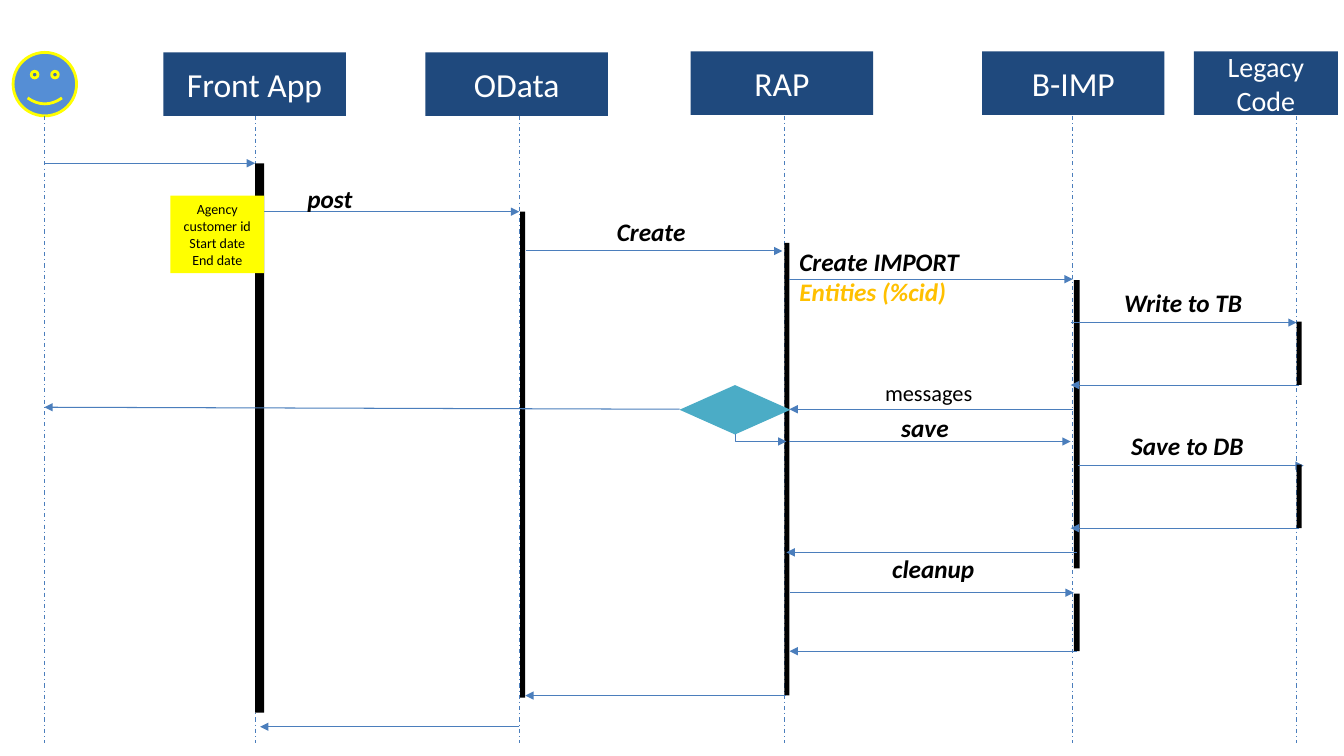
from lxml import etree
from pptx import Presentation
from pptx.dml.color import RGBColor
from pptx.enum.dml import MSO_LINE
from pptx.enum.shapes import MSO_CONNECTOR, MSO_SHAPE
from pptx.enum.text import MSO_ANCHOR, PP_ALIGN
from pptx.oxml.ns import qn
from pptx.util import Inches, Pt

RECT, SMILEY, DECISION = MSO_SHAPE.RECTANGLE, MSO_SHAPE.SMILEY_FACE, MSO_SHAPE.FLOWCHART_DECISION
STRAIGHT, ELBOW = MSO_CONNECTOR.STRAIGHT, MSO_CONNECTOR.ELBOW
CENTER, LEFT, MIDDLE, TOP = PP_ALIGN.CENTER, PP_ALIGN.LEFT, MSO_ANCHOR.MIDDLE, MSO_ANCHOR.TOP


class Theme:
    font = "Calibri"
    navy, blue, teal, face = "1F497D", "4B7EBC", "4BACC6", "558ED5"
    yellow, amber, black, white = "FFFF00", "FFC000", "000000", "FFFFFF"
    head, head_small, label, plain, note = 24, 20, 18, 16, 10
    line, outline = 0.75, 2


# Content: lifelines by x, in inches
LANES = {"user": 0.44, "app": 2.53, "odata": 5.15, "rap": 7.78, "bimp": 10.64, "legacy": 12.86}
LIFE_TOP, LIFE_BOTTOM = 1.15, 7.37
HEAD_H = 0.63

# Participants: text, left, top, width, size
HEADS = [
    ("Front App", 1.62, 0.52, 1.81, Theme.head),
    ("OData", 4.22, 0.52, 1.81, Theme.head),
    ("RAP", 6.85, 0.51, 1.81, Theme.head),
    ("B-IMP", 9.74, 0.51, 1.81, Theme.head),
    ("Legacy Code", 11.84, 0.51, 1.43, Theme.head_small),
]

# Steps from back to front.
# bar: lane, nudge, top, height, width; msg: from lane, nudge, to lane, nudge, y
STEPS = [
    ("msg", "user", 0, "app", 0, 1.62),
    ("bar", "app", 0, 1.62, 5.45, 0.09),
    ("msg", "app", 0.05, "odata", 0, 2.1),
    ("bar", "odata", 0.01, 2.1, 4.82, 0.05),
    ("bar", "rap", 0, 2.41, 4.49, 0.05),
    ("msg", "odata", 0.07, "rap", -0.02, 2.49),
    ("msg", "rap", 0.05, "bimp", 0, 2.77),
    ("bar", "bimp", 0.01, 2.78, 2.86, 0.06),
    ("msg", "bimp", -0.02, "legacy", 0, 3.2),
    ("bar", "legacy", 0, 3.19, 0.63, 0.05),
    ("msg", "legacy", 0.02, "bimp", -0.02, 3.82),
    ("msg", "bimp", 0, "rap", 0.05, 4.06),
    ("msg", "rap", 0.05, "bimp", -0.02, 4.38),
    ("msg", "bimp", 0.05, "legacy", 0.07, 4.62),
    ("bar", "legacy", 0, 4.61, 0.63, 0.05),
    ("msg", "legacy", 0.02, "bimp", -0.02, 5.24),
    ("msg", "bimp", 0.04, "rap", 0.02, 5.48),
    ("msg", "rap", 0.06, "bimp", 0.01, 5.88),
    ("bar", "bimp", 0.01, 5.89, 0.57, 0.06),
    ("msg", "bimp", 0.04, "rap", 0.05, 6.46),
    ("msg", "rap", 0.02, "odata", 0.06, 6.9),
    ("msg", "odata", 0, "app", 0.05, 7.21),
]

# Message labels: lines, left, top, width, height
LABELS = [
    (["post"], 2.95, 1.77, 1.51, 0.4),
    (["Create"], 6.02, 2.1, 1.51, 0.4),
    (["Create IMPORT", "Entities (%cid)"], 7.83, 2.39, 3.29, 0.71),
    (["Write to TB"], 11.05, 2.8, 1.51, 0.4),
    (["Save to DB"], 11.12, 4.22, 1.51, 0.4),
    (["save"], 8.84, 4.04, 1.51, 0.4),
    (["cleanup"], 8.75, 5.44, 1.51, 0.4),
]
MESSAGES = (["messages"], 8.68, 3.71, 1.39, 0.37)
NOTE = ["Agency customer id", "Start date", "End date"]
CHECK = (6.74, 3.82, 1.1, 0.49)

prs = Presentation()
prs.slide_width, prs.slide_height = Inches(13.33), Inches(7.5)
s = prs.slides.add_slide(prs.slide_layouts[6])


def write(shape, lines, size, color, align=LEFT, anchor=TOP, strong=False):
    tf = shape.text_frame
    tf.text = "\n".join(lines)
    tf.word_wrap, tf.vertical_anchor = True, anchor
    for p in tf.paragraphs:
        p.alignment = align
        for r in p.runs:
            r.font.name, r.font.size = Theme.font, Pt(size)
            r.font.bold = r.font.italic = strong
            r.font.color.rgb = RGBColor.from_string(color)
    return tf


def block(kind, x, y, w, h, fill):
    sp = s.shapes.add_shape(kind, Inches(x), Inches(y), Inches(w), Inches(h))
    sp.shadow.inherit = False
    sp.fill.solid()
    sp.fill.fore_color.rgb = RGBColor.from_string(fill)
    sp.line.fill.background()
    return sp


def label(lines, x, y, w, h, size=Theme.label, strong=True):
    tb = s.shapes.add_textbox(Inches(x), Inches(y), Inches(w), Inches(h))
    return write(tb, lines, size, Theme.black, strong=strong)


def line(x1, y1, x2, y2, arrow=True, kind=STRAIGHT):
    c = s.shapes.add_connector(kind, Inches(x1), Inches(y1), Inches(x2), Inches(y2))
    c.line.color.rgb = RGBColor.from_string(Theme.blue)
    c.line.width = Pt(Theme.line)
    if arrow:
        etree.SubElement(c.line._get_or_add_ln(), qn("a:tailEnd"), type="triangle")
    else:
        c.line.dash_style = MSO_LINE.DASH_DOT
    etree.SubElement(c._element.spPr, qn("a:effectLst"))
    return c


# Participants and lifelines
user = block(SMILEY, 0.13, 0.52, HEAD_H, HEAD_H, Theme.face)
user.line.color.rgb = RGBColor.from_string(Theme.yellow)
user.line.width = Pt(Theme.outline)
for text, x, y, w, size in HEADS:
    write(block(RECT, x, y, w, HEAD_H, Theme.navy), [text], size, Theme.white, CENTER, MIDDLE)
for x in LANES.values():
    line(x, LIFE_TOP, x, LIFE_BOTTOM, arrow=False)

# Activation bars and messages
for kind, lane, nudge, *rest in STEPS:
    x = LANES[lane] + nudge
    if kind == "bar":
        top, height, width = rest
        block(RECT, x, top, width, height, Theme.black)
    else:
        target, target_nudge, y = rest
        line(x, y, LANES[target] + target_nudge, y)

# Labels
for item in LABELS:
    tf = label(*item)
    for p in tf.paragraphs[1:]:
        p.runs[0].font.color.rgb = RGBColor.from_string(Theme.amber)
label(*MESSAGES, size=Theme.plain, strong=False)

# Decision, its reply to the user and its turn into save
block(DECISION, *CHECK, Theme.teal)
line(CHECK[0], 4.06, LANES["user"], 4.04)
turn = line(7.58, 4.09, 7.51, 4.6, kind=ELBOW)
turn._element.spPr.find(qn("a:prstGeom")).set("prst", "bentConnector2")
turn._element.spPr.find(qn("a:xfrm")).set("rot", str(270 * 60000))

# Note on the app's input
write(block(RECT, 1.69, 1.94, 0.93, 0.77, Theme.yellow), NOTE, Theme.note, Theme.black, CENTER, MIDDLE)

prs.save("out.pptx")
